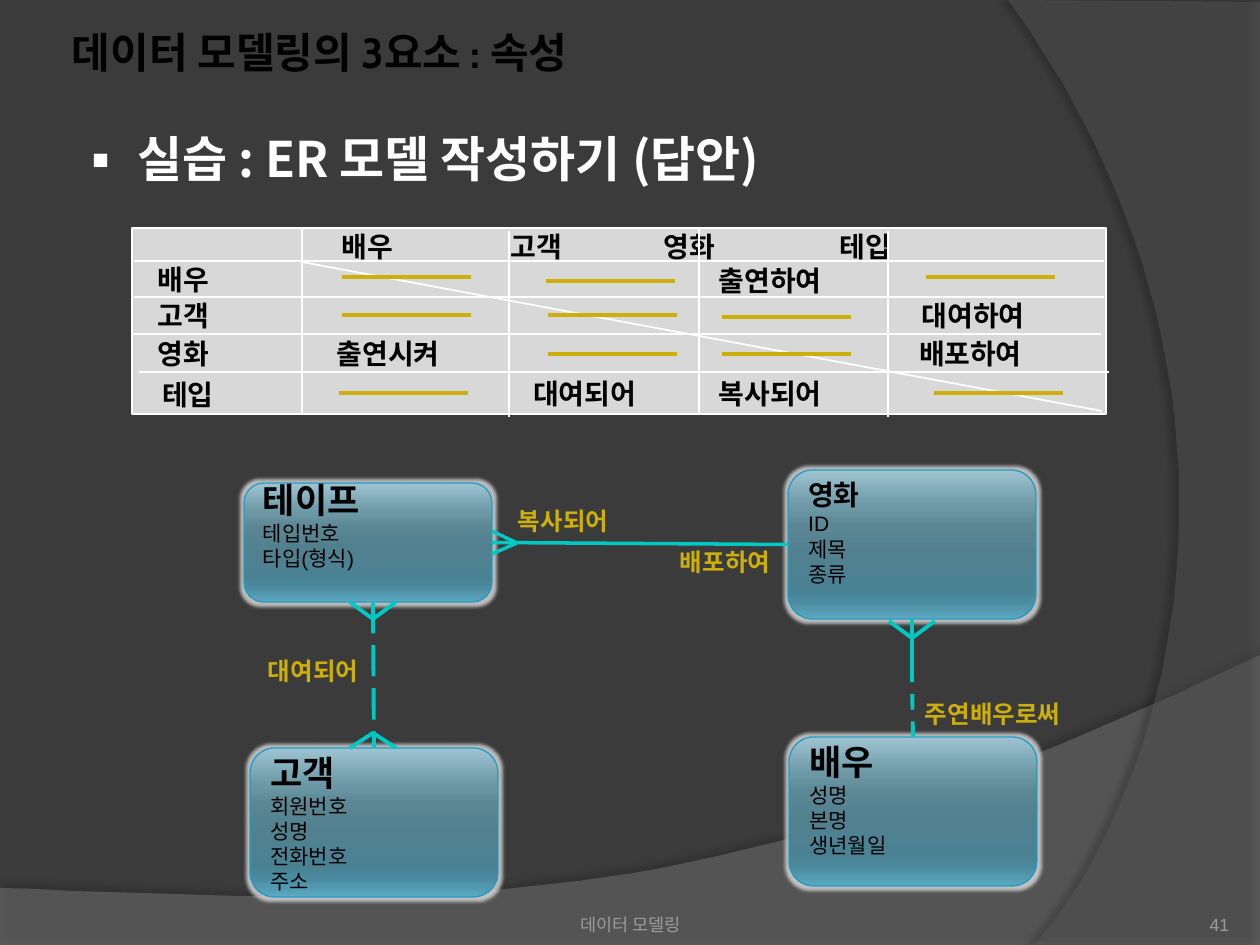
import dataclasses
import typing

import lxml.etree
import pptx
import pptx.dml.color
import pptx.enum.dml
import pptx.enum.shapes
import pptx.enum.text
import pptx.oxml.ns
import pptx.util

SCALE = 914400 / 126
Point = typing.Tuple[float, float]
ALIGN = pptx.enum.text.PP_ALIGN
ANCHOR = pptx.enum.text.MSO_ANCHOR
DASH = pptx.enum.dml.MSO_LINE


@dataclasses.dataclass(frozen=True)
class Theme:
    back: str = "3B3B3B"
    wave: str = "7F7F7F"
    swoosh: str = "5E5E5E"
    grid: str = "D8D8D8"
    white: str = "FFFFFF"
    black: str = "000000"
    gold: str = "CCAF0A"
    teal: str = "00C8C3"
    edge: str = "239BC2"
    halo: str = "DDDDDD"
    grey: str = "9D9B9A"
    grad: tuple = ((0, "9EC4D2"), (25, "6C97A5"), (38, "5B8694"), (55, "51808F"),
                   (80, "4A8294"), (88, "4A8BA0"), (100, "5DAAC2"))
    noto: str = "Noto Sans CJK KR"
    arial: str = "Arial"
    cabin: str = "Cabin"
    title: int = 24
    body: int = 28
    head: int = 20
    cell: int = 16
    label: int = 14
    field: int = 12
    foot: int = 10


@dataclasses.dataclass(frozen=True)
class Box:
    x: int
    y: int
    w: int
    h: int


@dataclasses.dataclass(frozen=True)
class Label:
    text: str
    box: Box


@dataclasses.dataclass(frozen=True)
class Table:
    name: str
    size: int
    fields: typing.Tuple[str, ...]
    box: Box
    pad: int = 6


T = Theme()


def px(n: float) -> pptx.util.Emu:
    return pptx.util.Emu(round(n * SCALE))


def rgb(code: str) -> pptx.dml.color.RGBColor:
    return pptx.dml.color.RGBColor.from_string(code)


def sub(root, tag: str, **attrs):
    return lxml.etree.SubElement(root, pptx.oxml.ns.qn(tag), {k: str(v) for k, v in attrs.items()})


def tint(root, code: str, alpha: int) -> None:
    sub(sub(root, "a:srgbClr", val=code), "a:alpha", val=alpha * 1000)


def place(shape, box: Box) -> None:
    shape.left, shape.top, shape.width, shape.height = map(px, (box.x, box.y, box.w, box.h))


def style(para, face: str, size: int, color: str, bold: bool = False) -> None:
    font = para.font
    font.name, font.size, font.bold = face, pptx.util.Pt(size), bold
    font.color.rgb = rgb(color)
    if face == T.noto:
        for run in para.runs:
            sub(run._r.get_or_add_rPr(), "a:ea", typeface=face)


def frame(shape, pads: typing.Tuple[int, int, int, int], anchor):
    text = shape.text_frame
    text.word_wrap = True
    text.vertical_anchor = anchor
    text.margin_left, text.margin_top, text.margin_right, text.margin_bottom = map(px, pads)
    return text


def write(slide, item: Label, size: int, color: str, stops: typing.Sequence[int] = ()) -> None:
    b = item.box
    shape = slide.shapes.add_textbox(px(b.x), px(b.y), px(b.w), px(b.h))
    para = frame(shape, (13, 6, 13, 6), ANCHOR.TOP).paragraphs[0]
    para.text = item.text
    para.line_spacing = 0.9
    if stops:
        tabs = sub(para._p.get_or_add_pPr(), "a:tabLst")
        for stop in stops:
            sub(tabs, "a:tab", pos=px(stop), algn="l")
    style(para, T.noto, size, color, True)


def foot(slide, item: Label, align) -> None:
    b = item.box
    shape = slide.shapes.add_textbox(px(b.x), px(b.y), px(b.w), px(b.h))
    para = frame(shape, (0, 6, 0, 0), ANCHOR.BOTTOM).paragraphs[0]
    para.text, para.alignment = item.text, align
    style(para, T.arial, T.foot, T.grey)


def rule(slide, start: Point, end: Point, color: str, width: float, dash=None):
    line = slide.shapes.add_connector(pptx.enum.shapes.MSO_CONNECTOR.STRAIGHT,
                                      *map(px, (*start, *end)))
    line.line.color.rgb = rgb(color)
    line.line.width = pptx.util.Pt(width)
    if dash:
        line.line.dash_style = dash
    sub(line._element.spPr, "a:effectLst")
    return line


def trace(slide, points: typing.Sequence[Point], close: bool):
    pen = slide.shapes.build_freeform(*points[0], scale=SCALE)
    pen.add_line_segments(points[1:], close=close)
    shape = pen.convert_to_shape()
    shape.shadow.inherit = False
    return shape


def curve(a: Point, b: Point, c: Point, d: Point, steps: int = 40) -> typing.List[Point]:
    def blend(t: float, i: int) -> float:
        u = 1 - t
        return u**3 * a[i] + 3 * u * u * t * b[i] + 3 * u * t * t * c[i] + t**3 * d[i]
    return [(blend(n / steps, 0), blend(n / steps, 1)) for n in range(steps + 1)]


def sweep(slide, points, color: str, alpha: int, shade: int, dist: float, turn: int) -> None:
    shape = trace(slide, points, True)
    shape.fill.solid()
    shape.fill.fore_color.rgb = rgb(color)
    shape.line.fill.background()
    props = shape._element.spPr
    sub(props.find(".//" + pptx.oxml.ns.qn("a:srgbClr")), "a:alpha", val=alpha * 1000)
    cast = sub(props.find(pptx.oxml.ns.qn("a:effectLst")), "a:outerShdw",
               blurRad=pptx.util.Pt(4), dist=pptx.util.Pt(dist), dir=turn * 60000)
    tint(cast, T.black, shade)
    slide.shapes._spTree.insert(2, shape._element)


def fork(slide, points: typing.Sequence[Point]) -> None:
    shape = trace(slide, points, False)
    shape.fill.background()
    shape.line.color.rgb = rgb(T.teal)
    shape.line.width = pptx.util.Pt(2.25)


def block(slide, kind, box: Box, edge: str, width: float):
    shape = slide.shapes.add_shape(kind, *map(px, (box.x, box.y, box.w, box.h)))
    shape.shadow.inherit = False
    shape.line.color.rgb = rgb(edge)
    shape.line.width = pptx.util.Pt(width)
    return shape


def draw(slide, item: Table):
    shape = block(slide, pptx.enum.shapes.MSO_SHAPE.ROUNDED_RECTANGLE, item.box, T.edge, 0.75)
    shape.fill.gradient()
    shape.fill.gradient_angle = 270
    props = shape._element.spPr
    stops = props.find(".//" + pptx.oxml.ns.qn("a:gsLst"))
    stops.clear()
    for pos, code in T.grad:
        sub(sub(stops, "a:gs", pos=pos * 1000), "a:srgbClr", val=code)
    tint(sub(props.find(pptx.oxml.ns.qn("a:effectLst")), "a:glow", rad=px(7)), T.halo, 80)
    text = frame(shape, (13, 6, 13, item.pad), ANCHOR.MIDDLE)
    text.text = "\n".join((item.name, *item.fields))
    for n, para in enumerate(text.paragraphs):
        para.alignment = ALIGN.LEFT
        if n:
            style(para, T.arial, T.field, T.black)
        else:
            style(para, T.noto, item.size, T.black, True)
    return shape


def heads(slide) -> None:
    title, body = slide.shapes.title, slide.placeholders[1]
    place(title, Box(59, 20, 1126, 63))
    para = frame(title, (13, 6, 13, 6), ANCHOR.MIDDLE).paragraphs[0]
    para.text, para.alignment = "데이터 모델링의 3요소 : 속성", ALIGN.LEFT
    style(para, T.cabin, T.title, T.black, True)
    place(body, Box(49, 129, 1172, 78))
    para = frame(body, (13, 0, 13, 6), ANCHOR.TOP).paragraphs[0]
    para.text, para.level = "실습 : ER 모델 작성하기 (답안)", 1
    para.space_before = pptx.util.Pt(0)
    props = para._p.get_or_add_pPr()
    props.set("marL", str(px(75)))
    props.set("indent", str(px(-60)))
    sub(props, "a:buFont", typeface=T.noto)
    sub(props, "a:buChar", char="▪")
    style(para, T.noto, T.body, T.white, True)


def matrix(slide) -> None:
    grid = block(slide, pptx.enum.shapes.MSO_SHAPE.RECTANGLE, Box(132, 228, 974, 186), T.white, 1)
    grid.fill.solid()
    grid.fill.fore_color.rgb = rgb(T.grid)
    write(slide, Label("\t배우\t고객\t영화\t테입", Box(272, 227, 830, 43)), T.cell, T.black,
          (57, 226, 379, 555))
    for x, y in ((134, 261), (134, 297), (131, 334), (139, 372)):
        rule(slide, (x, y), (x + 970, y), T.white, 1)
    for x, y in ((302, 228), (509, 231), (699, 229), (888, 231)):
        rule(slide, (x, y), (x, y + 186), T.white, 1)
    rule(slide, (302, 262), (1102, 411), T.white, 1)
    for text, x, y in (("배우", 145, 260), ("고객", 145, 296), ("영화", 145, 334), ("테입", 149, 375),
                       ("출연시켜", 324, 334), ("대여되어", 520, 374), ("출연하여", 706, 261),
                       ("대여하여", 909, 296), ("복사되어", 706, 374), ("배포하여", 906, 334)):
        write(slide, Label(text, Box(x, y, 180, 43)), T.cell, T.black)
    for x, y in ((342, 277), (546, 281), (926, 277), (342, 315), (548, 315), (722, 317),
                 (548, 354), (722, 354), (339, 393), (934, 393)):
        rule(slide, (x, y), (x + 129, y), T.gold, 2)


def model(slide) -> None:
    tape, guest, actor, film = (draw(slide, item) for item in (
        Table("테이프", T.head, ("테입번호", "타입(형식)"), Box(244, 483, 248, 119), 42),
        Table("고객", T.head, ("회원번호", "성명", "전화번호", "주소"), Box(250, 748, 248, 149)),
        Table("배우", T.head, ("성명", "본명", "생년월일"), Box(789, 737, 248, 149), 31),
        Table("영화", T.cell, ("ID", "제목", "종류"), Box(788, 470, 248, 149), 31)))
    rule(slide, (912, 737), (912, 672), T.teal, 2.25, DASH.DASH).begin_connect(actor, 0)
    rule(slide, (912, 679), (912, 619), T.teal, 2.25).end_connect(film, 2)
    link = rule(slide, (492, 543), (788, 543), T.teal, 2)
    link.begin_connect(tape, 3)
    link.end_connect(film, 1)
    rule(slide, (373, 602), (373, 748), T.teal, 2.25, DASH.LONG_DASH).end_connect(guest, 0)
    for y in (531, 554):
        rule(slide, (492, y), (517, 543), T.teal, 2)
    for x, y, rise in ((912, 621, 17), (373, 602, 17), (373, 748, -15)):
        fork(slide, ((x - 23, y), (x, y + rise), (x + 23, y)))
    for text, x, y in (("배포하여", 667, 544), ("복사되어", 505, 503),
                       ("대여되어", 255, 653), ("주연배우로써", 912, 696)):
        write(slide, Label(text, Box(x, y, 179, 39)), T.label, T.gold)


def main() -> None:
    deck = pptx.Presentation()
    deck.slide_width, deck.slide_height = px(1260), px(945)
    slide = deck.slides.add_slide(deck.slide_layouts[1])
    slide.background.fill.solid()
    slide.background.fill.fore_color.rgb = rgb(T.back)
    side = curve((1034, 945), (1178, 780), (1283, 378), (1008, 0))
    sweep(slide, [(1260, 2), (1260, 945), *side], T.swoosh, 40, 45, 4, 180)
    hill = curve((1260, 655), (704, 919), (493, 906), (0, 888))
    sweep(slide, [(0, 945), (1260, 945), *hill], T.wave, 45, 35, 3.5, 270)
    foot(slide, Label("데이터 모델링", Box(431, 885, 399, 50)), ALIGN.CENTER)
    foot(slide, Label("41", Box(1124, 885, 105, 50)), ALIGN.RIGHT)
    heads(slide)
    matrix(slide)
    model(slide)
    deck.save("out.pptx")


if __name__ == "__main__":
    main()
